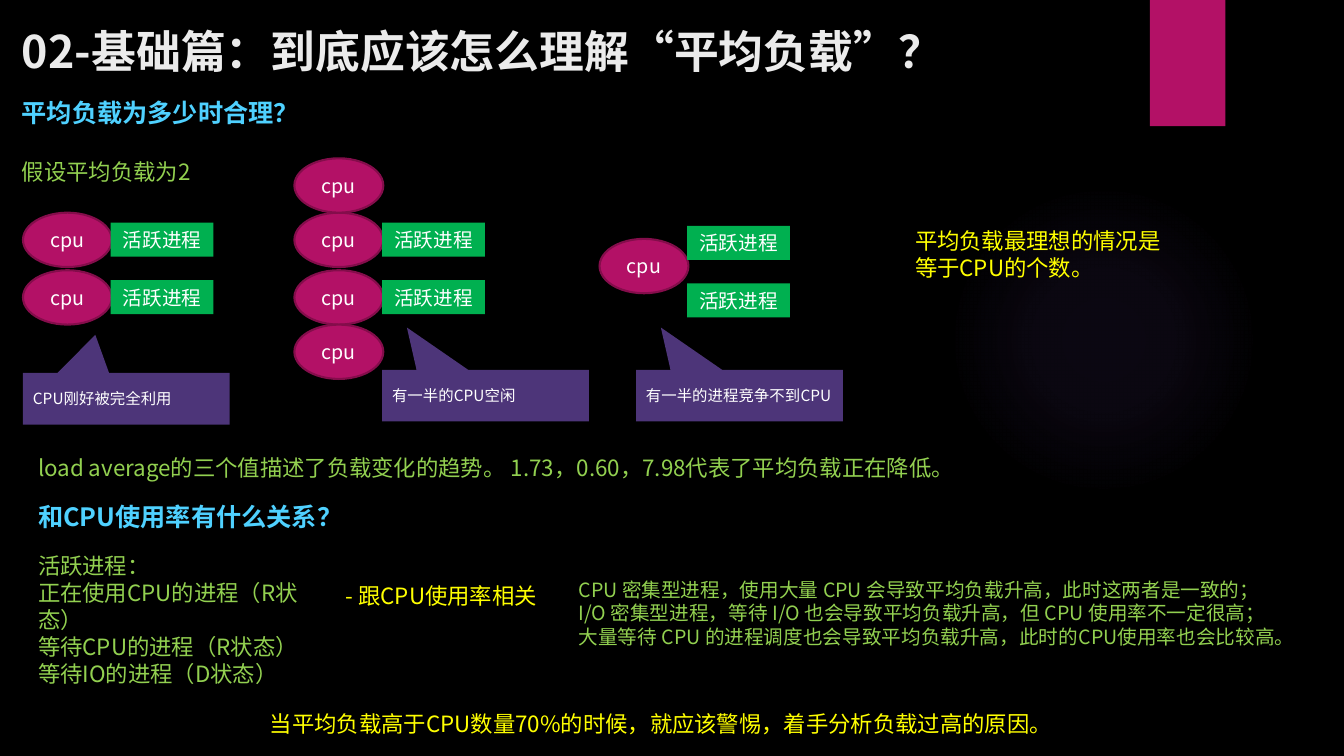
from lxml import etree
from pptx import Presentation
from pptx.dml.color import RGBColor
from pptx.enum.shapes import MSO_SHAPE
from pptx.enum.text import MSO_ANCHOR, MSO_AUTO_SIZE, PP_ALIGN
from pptx.oxml.ns import qn
from pptx.util import Cm, Pt

FONT = "Noto Sans CJK SC"
COLORS = {
    "background": "000000", "title": "EBEBEB", "heading": "4FD1FF",
    "body": "92D050", "key": "FFFF00", "label": "FFFFFF", "cpu": "B31166",
    "cpu_edge": "840D4B", "process": "00B050", "violet": "9B6BF2",
}
OVAL, RECT, CALLOUT = MSO_SHAPE.OVAL, MSO_SHAPE.RECTANGLE, MSO_SHAPE.RECTANGULAR_CALLOUT
LEFT, CENTER = PP_ALIGN.LEFT, PP_ALIGN.CENTER
TOP, MIDDLE = MSO_ANCHOR.TOP, MSO_ANCHOR.MIDDLE
GROW, FIXED = MSO_AUTO_SIZE.SHAPE_TO_FIT_TEXT, MSO_AUTO_SIZE.NONE
PITCH = 1.45


def rgb(name):
    """Return the palette colour called name."""
    return RGBColor.from_string(COLORS[name])


def write(shape, lines, size=16, color="body", bold=False, align=LEFT,
          anchor=TOP, wrap=True, fit=FIXED):
    """Fill a shape with formatted paragraphs."""
    frame = shape.text_frame
    frame.word_wrap, frame.auto_size, frame.vertical_anchor = wrap, fit, anchor
    frame.text = lines
    for paragraph in frame.paragraphs:
        paragraph.alignment = align
        for run in paragraph.runs:
            font = run.font
            font.size, font.bold, font.name = Pt(size), bold, FONT
            font.color.rgb = rgb(color)
            east_asian = etree.Element(qn("a:ea"), typeface=FONT)
            font._element.find(qn("a:latin")).addnext(east_asian)


def add_text(slide, box, lines, **style):
    """Place a text box that grows with its text."""
    text_box = slide.shapes.add_textbox(*map(Cm, box))
    write(text_box, lines, fit=GROW, **style)


def add_block(slide, kind, box, fill, edge=None):
    """Place a filled preset shape without shadow."""
    block = slide.shapes.add_shape(kind, *map(Cm, box))
    block.shadow.inherit = False
    block.fill.solid()
    block.fill.fore_color.rgb = rgb(fill)
    if edge:
        block.line.color.rgb = rgb(edge)
        block.line.width = Pt(1.5)
    else:
        block.line.fill.background()
    return block


def add_alpha(color_element, percent):
    """Make a colour element partly transparent."""
    etree.SubElement(color_element, qn("a:alpha"), val=str(percent * 1000))


def add_backdrop(slide):
    """Paint the background, the soft glow and the ribbon."""
    slide.background.fill.solid()
    slide.background.fill.fore_color.rgb = rgb("background")
    glow = add_block(slide, OVAL, (23.9, 4.65, 7.82, 7.82), "violet")
    gradient = etree.Element(qn("a:gradFill"), rotWithShape="1")
    stops = etree.SubElement(gradient, qn("a:gsLst"))
    for position, opacity in ((0, 7), (36, 6), (69, 0)):
        stop = etree.SubElement(stops, qn("a:gs"), pos=str(position * 1000))
        add_alpha(etree.SubElement(stop, qn("a:srgbClr"), val=COLORS["violet"]), opacity)
    radial = etree.SubElement(gradient, qn("a:path"), path="circle")
    center = dict.fromkeys("ltrb", "50000")
    etree.SubElement(radial, qn("a:fillToRect"), **center)
    solid = glow._element.spPr.find(qn("a:solidFill"))
    solid.getparent().replace(solid, gradient)
    add_block(slide, RECT, (28.98, 0, 1.9, 3.18), "cpu")


def add_title(slide, box, words):
    """Move and format the title placeholder."""
    title = slide.shapes.title
    title.left, title.top, title.width, title.height = map(Cm, box)
    write(title, words, size=32, color="title", bold=True, anchor=MIDDLE)


def add_scenario(slide, left, top, cpu_offsets, process_offset, note_at, tip, note):
    """Draw one CPU column, its two processes and the callout."""
    for offset in cpu_offsets:
        cpu = add_block(slide, OVAL, (left, top + offset, 2.24, 1.37), "cpu", "cpu_edge")
        write(cpu, "cpu", size=14, color="label", align=CENTER, anchor=MIDDLE)
    for row in range(2):
        process_top = top + process_offset + row * PITCH
        process = add_block(slide, RECT, (left + 2.21, process_top, 2.59, 0.86), "process")
        write(process, "活跃进程", size=14, color="label", align=CENTER, anchor=MIDDLE)
    note_left, note_top = note_at
    callout = add_block(slide, CALLOUT, (left + note_left, top + note_top, 5.21, 1.3), "violet")
    callout.adjustments[0], callout.adjustments[1] = tip
    add_alpha(callout._element.spPr.find(qn("a:solidFill"))[0], 50)
    write(callout, note, size=11, color="label", anchor=MIDDLE)


def add_load_section(slide, left, top):
    """Lay out the question of a reasonable load."""
    add_text(slide, (left, top, 7.57, 1.02), "平均负载为多少时合理？",
             size=18, color="heading", bold=True, wrap=False)
    add_text(slide, (left, top + 1.52, 7.72, 0.94), "假设平均负载为2")
    row = top + 3.02
    add_scenario(slide, left + 0.28, row, (0, PITCH), 0.25, (0, 4.04),
                 (-0.15, -1.24), "CPU刚好被完全利用")
    add_scenario(slide, left + 7.12, row, (0, PITCH, -1.37, 2.82), 0.25, (2.21, 3.96),
                 (-0.38, -1.32), "有一半的CPU空闲")
    add_scenario(slide, left + 14.81, row, (0.66,), 0.33, (0.92, 3.96),
                 (-0.38, -1.32), "有一半的进程竞争不到CPU")
    add_text(slide, (left + 22.51, top + 3.25, 9.83, 1.63),
             "平均负载最理想的情况是\n等于CPU的个数。", color="key")
    add_text(slide, (left + 0.41, top + 8.97, 24.16, 0.94),
             "load average的三个值描述了负载变化的趋势。 1.73，0.60，7.98代表了平均负载正在降低。",
             wrap=False)


def add_usage_section(slide, left, top):
    """Lay out the relation between load and CPU usage."""
    add_text(slide, (left, top, 8.28, 1.02), "和CPU使用率有什么关系？",
             size=18, color="heading", bold=True, wrap=False)
    add_text(slide, (left, top + 1.27, 7.72, 3),
             "活跃进程：\n正在使用CPU的进程（R状态）\n等待CPU的进程（R状态）\n等待IO的进程（D状态）")
    add_text(slide, (left + 7.75, top + 2.03, 7.24, 0.94), "- 跟CPU使用率相关", color="key")
    add_text(slide, (left + 13.62, top + 1.91, 19.53, 2.06),
             "CPU 密集型进程，使用大量 CPU 会导致平均负载升高，此时这两者是一致的；\n"
             "I/O 密集型进程，等待 I/O 也会导致平均负载升高，但 CPU 使用率不一定很高；\n"
             "大量等待 CPU 的进程调度也会导致平均负载升高，此时的CPU使用率也会比较高。",
             size=14)
    add_text(slide, (left + 5.84, top + 5.26, 20.55, 0.94),
             "当平均负载高于CPU数量70%的时候，就应该警惕，着手分析负载过高的原因。", color="key")


def main():
    """Build and save the slide."""
    deck = Presentation()
    deck.slide_width, deck.slide_height = Cm(33.87), Cm(19.05)
    slide = deck.slides.add_slide(deck.slide_layouts[5])
    add_backdrop(slide)
    add_title(slide, (0.3, 0.43, 26.14, 1.68), "02-基础篇：到底应该怎么理解“平均负载”？")
    add_load_section(slide, 0.3, 2.34)
    add_usage_section(slide, 0.71, 12.52)
    deck.save("out.pptx")


if __name__ == "__main__":
    main()
